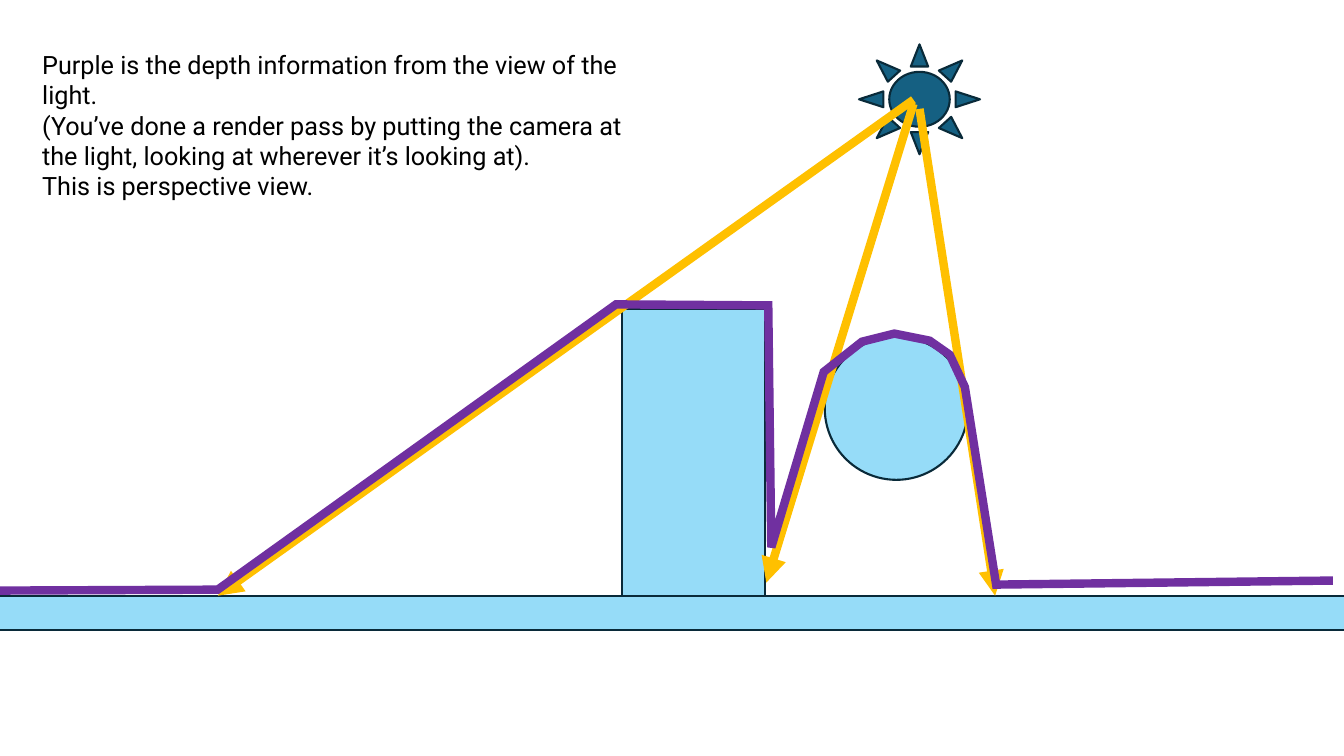
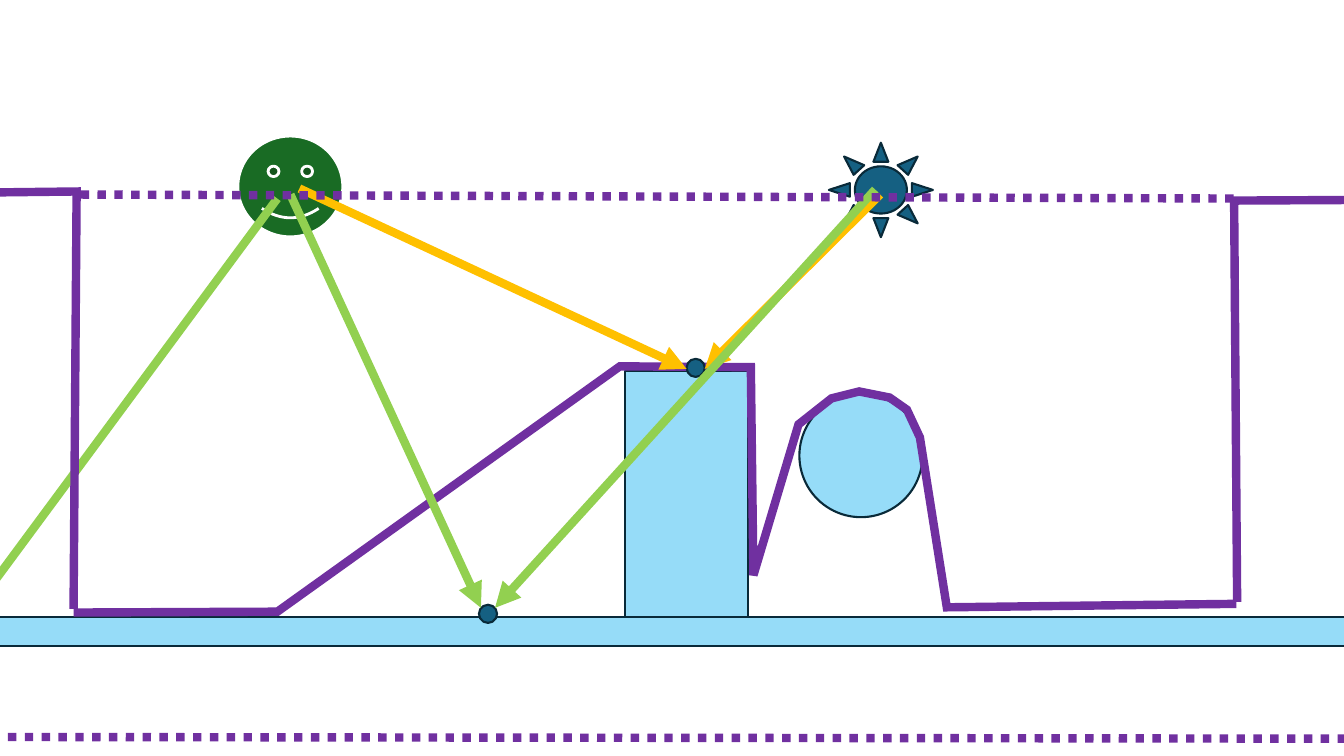
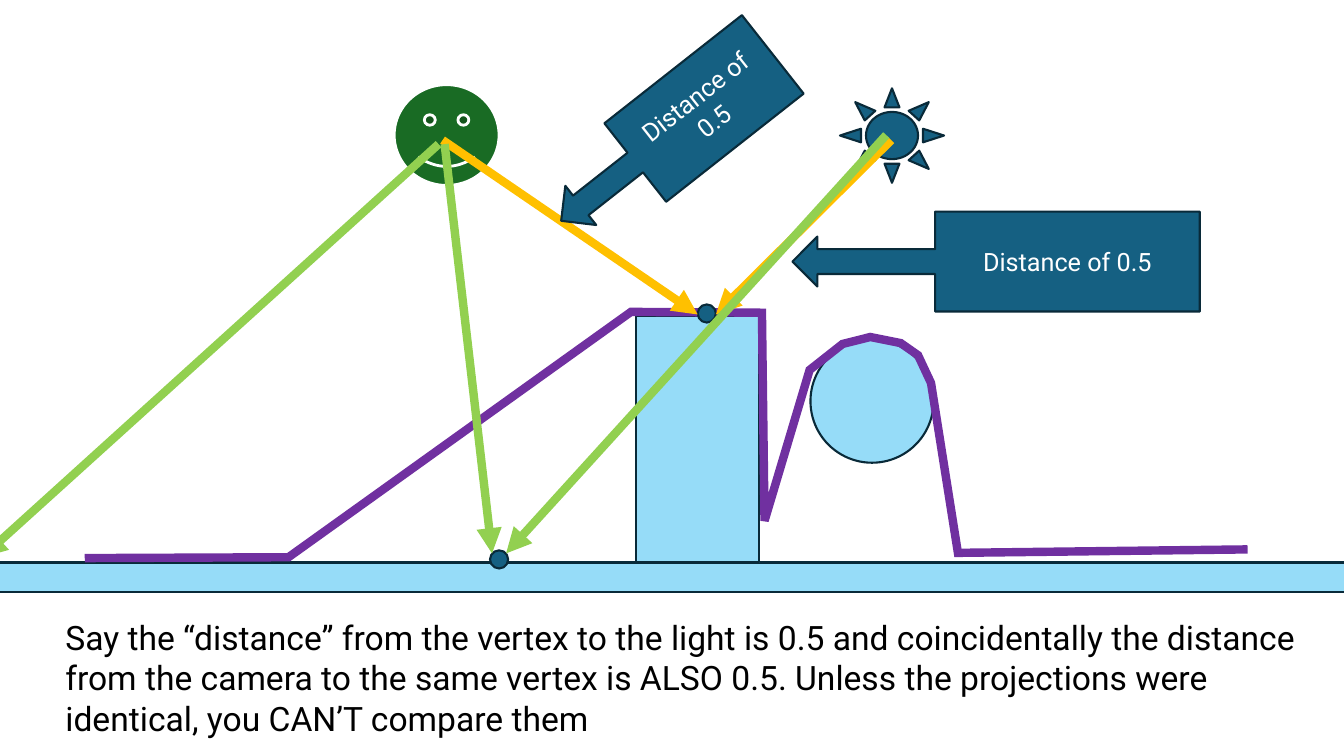
import lxml.etree
import pptx
import pptx.dml.color
import pptx.enum.shapes
import pptx.enum.text
import pptx.oxml.ns
import pptx.util

Inches = pptx.util.Inches
Pt = pptx.util.Pt
SHAPE = pptx.enum.shapes.MSO_SHAPE
ALIGN = pptx.enum.text.PP_ALIGN
ANCHOR = pptx.enum.text.MSO_ANCHOR
qn = pptx.oxml.ns.qn

# Theme: every colour and type size
THEME = {
    "font": "Roboto", "body": 18, "large": 24, "outline_width": 1.5,
    "face_width": 2, "ray_width": 6,
    "solid": "96DCF8", "accent": "156082", "outline": "092A39",
    "camera": "196B24", "white": "FFFFFF", "black": "000000",
    "near_ray": "FFC000", "far_ray": "92D050", "depth": "7030A0",
}

# World geometry at full scale, measured from the block's lower left corner
BLOCK = (0, -2.84, 1.42, 2.84)
SUN = (2.35, -5.47, 1.2, 1.09)
BALL = (2.01, -2.57, 1.42, 1.42)
FLOOR_HEIGHT = 0.34
DEPTH = [(-6.36, -0.05), (-4.01, -0.06), (-0.06, -2.89), (1.45, -2.88),
         (1.48, -0.48), (2, -2.22), (2.38, -2.52), (2.7, -2.6),
         (3.05, -2.53), (3.25, -2.39), (3.4, -2.07), (3.71, -0.11),
         (7.05, -0.15)]

# Parts of the two camera scenes, in inches from the same corner
VERTICES = [(0.61, -2.56), (-1.45, -0.12)]
VERTEX_SIZE = 0.18
LIGHT_RAYS = [("near_ray", (2.53, -4.19), (0.79, -2.46)),
              ("far_ray", (2.48, -4.24), (-1.29, -0.09))]

SCENES = [
    {"corner": (6.17, 5.91), "scale": 1, "floor": (-0.19, 13.61),
     "light_rays": [((9.06, 0.99), (2.16, 5.91)),
                    ((9.12, 1.08), (9.87, 5.91)),
                    ((9.06, 1.03), (7.6, 5.78))],
     "caption": ((0.32, 0.44, 6.34, 1.31), "body", [
         "Purple is the depth information from the view of the light.",
         "(You’ve done a render pass by putting the camera at the light, "
         "looking at wherever it’s looking at).",
         "This is perspective view."])},
    {"corner": (6.2, 6.12), "scale": 0.86, "floor": (-0.57, 14.18),
     "camera": (2.36, 1.35),
     "camera_rays": [("near_ray", (2.97, 1.87), (6.81, 3.66)),
                     ("far_ray", (2.88, 1.93), (4.77, 6.03)),
                     ("far_ray", (2.75, 1.97), (-0.28, 6.07))],
     "limits": [([(0.8, 1.93), (12.25, 1.97)], "sysDot"),
                ([(0.73, 6.04), (0.76, 1.9), (-0.95, 1.92)], None),
                ([(12.27, 5.97), (12.24, 1.99), (14.25, 1.98)], None),
                ([(-1.09, 7.31), (14.68, 7.33)], "sysDot")]},
    {"corner": (6.31, 5.58), "scale": 0.86, "floor": (-0.47, 14.18),
     "camera": (3.91, 0.84),
     "camera_rays": [("near_ray", (4.39, 1.39), (6.92, 3.12)),
                     ("far_ray", (4.41, 1.43), (4.88, 5.49)),
                     ("far_ray", (4.35, 1.43), (-0.18, 5.53))],
     "callouts": [((7.86, 2.1, 4.04, 0.99), 0),
                  ((5.28, 0.87, 2.67, 0.99), 321.8)],
     "caption": ((0.55, 6.07, 12.42, 1.31), "large", [
         "Say the “distance” from the vertex to the light is 0.5 and "
         "coincidentally the distance from the camera to the same vertex is "
         "ALSO 0.5. Unless the projections were identical, you CAN’T compare "
         "them"])},
]


def add_box(page, kind, place, fill=None, outline="outline",
            width="outline_width", lines=(), size="body"):
    """Add a preset shape, or a text box when kind is None."""
    place = [Inches(value) for value in place]
    if kind is None:
        box = page.shapes.add_textbox(*place)
        align, anchor, colour = ALIGN.LEFT, ANCHOR.TOP, "black"
        box.text_frame.auto_size = pptx.enum.text.MSO_AUTO_SIZE.SHAPE_TO_FIT_TEXT
    else:
        box = page.shapes.add_shape(kind, *place)
        align, anchor, colour = ALIGN.CENTER, ANCHOR.MIDDLE, "white"
        box.shadow.inherit = False
        box.fill.solid()
        box.fill.fore_color.rgb = pptx.dml.color.RGBColor.from_string(THEME[fill])
        box.line.color.rgb = pptx.dml.color.RGBColor.from_string(THEME[outline])
        box.line.width = Pt(THEME[width])
    frame = box.text_frame
    frame.word_wrap = True
    frame.vertical_anchor = anchor
    for index, line in enumerate(lines):
        para = frame.paragraphs[0] if index == 0 else frame.add_paragraph()
        para.alignment = align
        span = para.add_run()
        span.text = line
        for name, value in {"name": THEME["font"], "size": Pt(THEME[size])}.items():
            setattr(span.font, name, value)
        span.font.color.rgb = pptx.dml.color.RGBColor.from_string(THEME[colour])
    return box


def add_stroke(page, points, colour, arrow=None, dash=None):
    """Draw a connector through two points, or an open outline through more."""
    points = [(Inches(x), Inches(y)) for x, y in points]
    if len(points) == 2:
        stroke = page.shapes.add_connector(
            pptx.enum.shapes.MSO_CONNECTOR.STRAIGHT, *points[0], *points[1])
    else:
        builder = page.shapes.build_freeform(*points[0])
        builder.add_line_segments(points[1:], close=False)
        stroke = builder.convert_to_shape()
        stroke.fill.background()
    stroke.line.color.rgb = pptx.dml.color.RGBColor.from_string(THEME[colour])
    stroke.line.width = Pt(THEME["ray_width"])
    properties = stroke.element.spPr
    outline = properties.find(qn("a:ln"))
    for tag, key, value in (("a:prstDash", "val", dash),
                            ("a:miter", "lim", "800000"),
                            ("a:tailEnd", "type", arrow)):
        if value:
            lxml.etree.SubElement(outline, qn(tag)).set(key, value)
    lxml.etree.SubElement(properties, qn("a:effectLst"))


deck = pptx.Presentation()
deck.slide_width = Inches(13.33)
deck.slide_height = Inches(7.5)

for scene in SCENES:
    page = deck.slides.add_slide(deck.slide_layouts[6])
    left, ground = scene["corner"]
    scale = scene["scale"]

    # Floor, block, light and ball
    floor_left, floor_width = scene["floor"]
    add_box(page, SHAPE.RECTANGLE,
            (floor_left, ground, floor_width, FLOOR_HEIGHT * scale), "solid")
    for kind, (x, y, width, height), fill in (
            (SHAPE.RECTANGLE, BLOCK, "solid"),
            (SHAPE.SUN, SUN, "accent"),
            (SHAPE.OVAL, BALL, "solid")):
        add_box(page, kind, (left + x * scale, ground + y * scale,
                             width * scale, height * scale), fill)

    # Depth seen from the light, above the rays that measure it
    for ray in scene.get("light_rays", []):
        add_stroke(page, ray, "near_ray", arrow="triangle")
    add_stroke(page, [(left + x * scale, ground + y * scale) for x, y in DEPTH],
               "depth")

    # Camera, the vertices it sees, and the rays to them
    if "camera" in scene:
        add_box(page, SHAPE.SMILEY_FACE, (*scene["camera"], 1.04, 1),
                "camera", "white", "face_width")
        for x, y in VERTICES:
            add_box(page, SHAPE.OVAL,
                    (left + x, ground + y, VERTEX_SIZE, VERTEX_SIZE), "accent")
        light_rays = [(colour, *[(left + x, ground + y) for x, y in ends])
                      for colour, *ends in LIGHT_RAYS]
        for colour, *ends in scene["camera_rays"][:1] + light_rays + scene["camera_rays"][1:]:
            add_stroke(page, ends, colour, arrow="triangle")

    # Limits of the depth view
    for points, dash in scene.get("limits", []):
        add_stroke(page, points, "depth", dash=dash)

    # Callouts and caption
    for place, rotation in scene.get("callouts", []):
        callout = add_box(page, SHAPE.LEFT_ARROW_CALLOUT, place, "accent",
                          lines=["Distance of 0.5"])
        callout.rotation = rotation
    if "caption" in scene:
        place, size, lines = scene["caption"]
        add_box(page, None, place, lines=lines, size=size)

deck.save("out.pptx")
